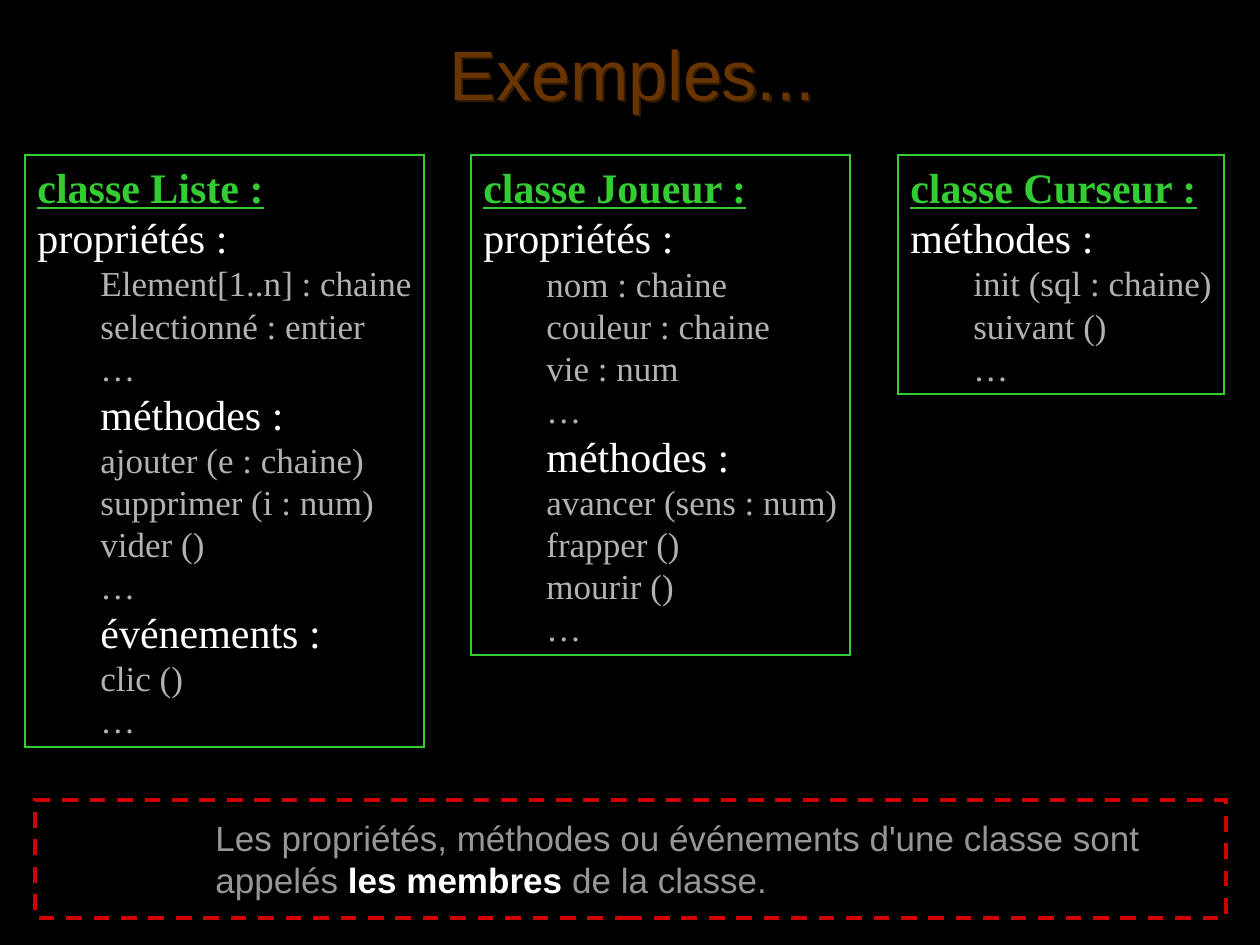
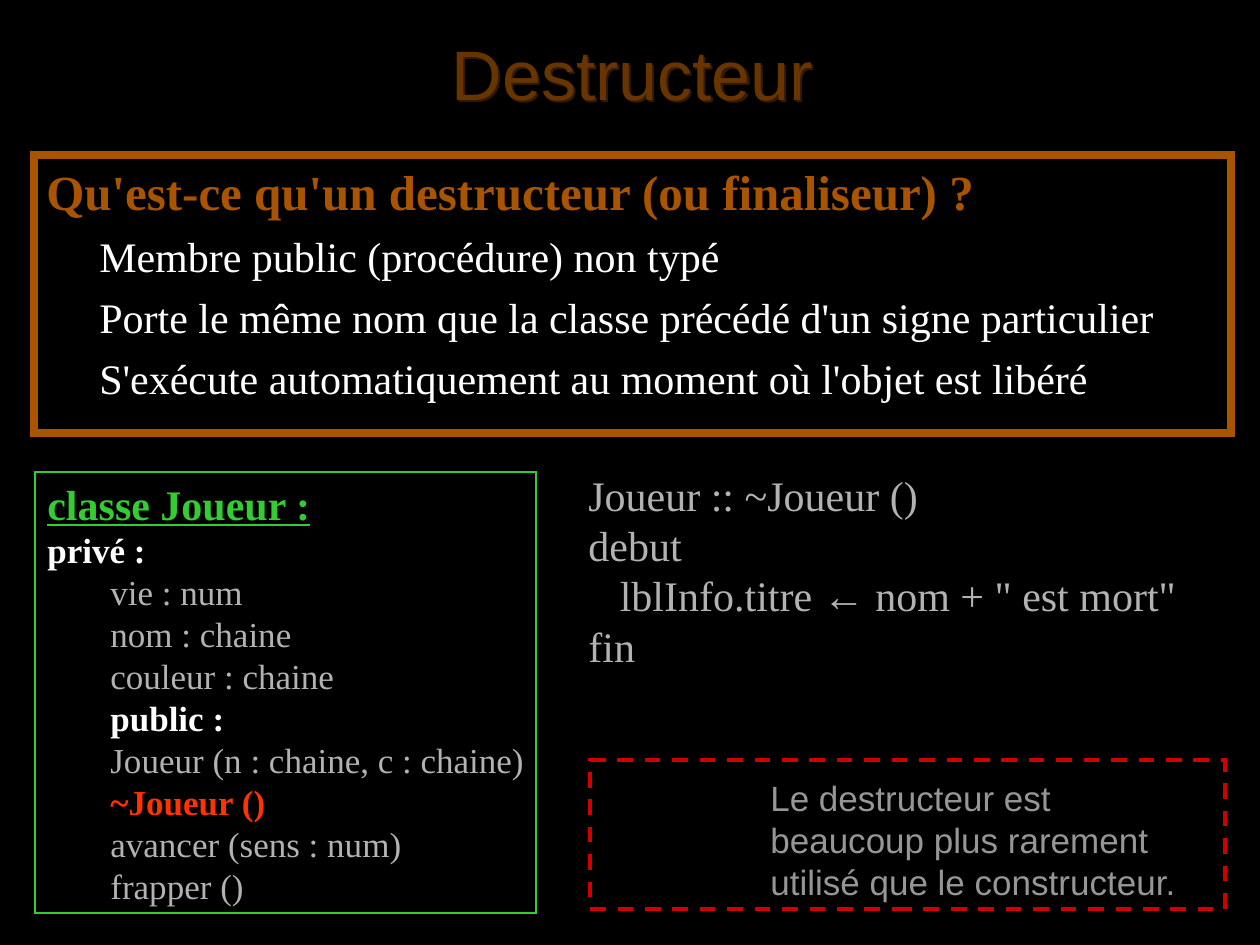
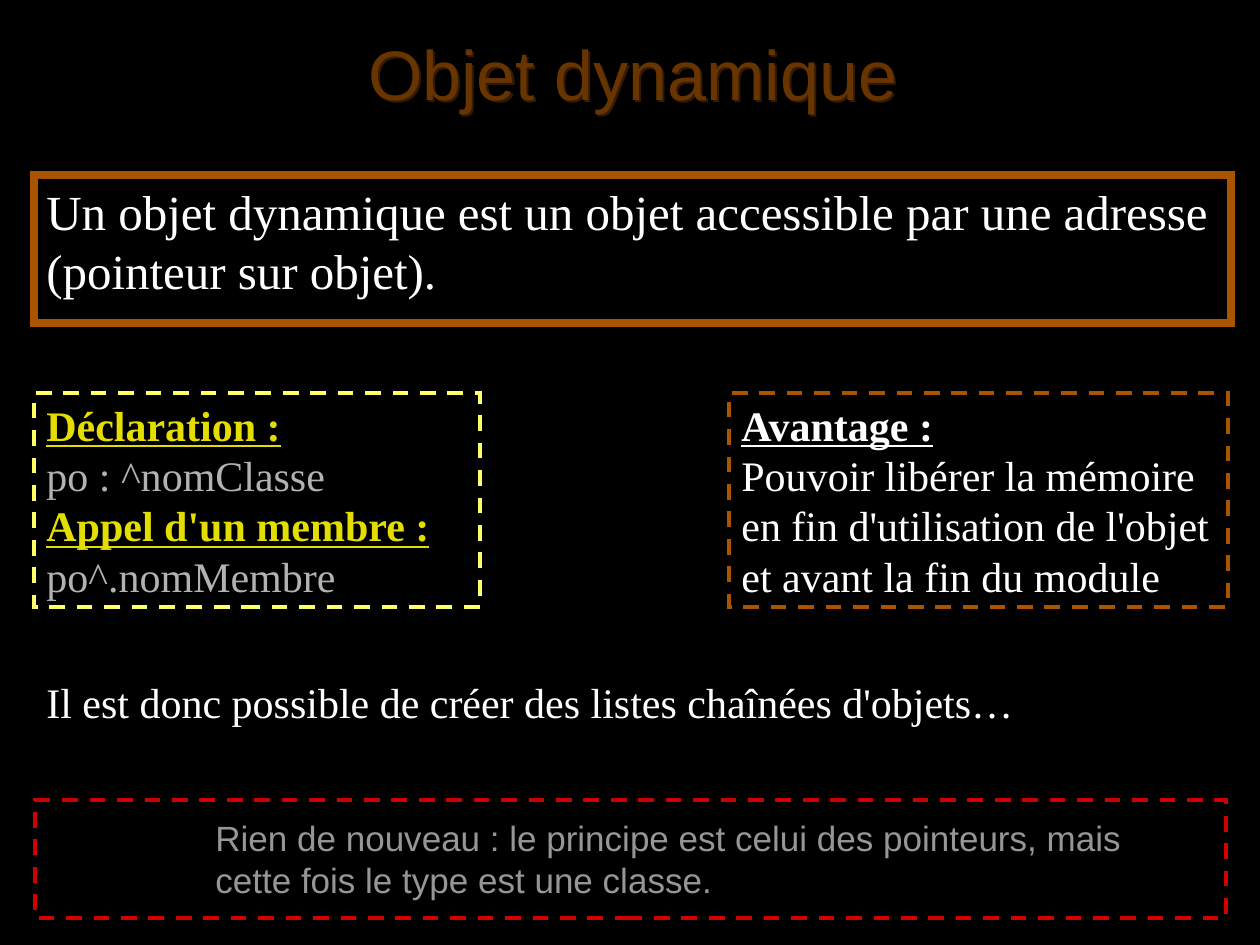
import pptx
import pptx.dml.color
import pptx.enum.dml
import pptx.enum.shapes
import pptx.enum.text
import pptx.oxml
import pptx.util
from collections import namedtuple

RGBColor = pptx.dml.color.RGBColor

# Shared look
BLACK = RGBColor(0x00, 0x00, 0x00)
WHITE = RGBColor(0xFF, 0xFF, 0xFF)
SILVER = RGBColor(0xB2, 0xB2, 0xB2)
GREY = RGBColor(0x96, 0x96, 0x96)
BROWN = RGBColor(0x68, 0x34, 0x00)
DARK_BROWN = RGBColor(0x34, 0x1A, 0x00)
ORANGE = RGBColor(0xA8, 0x54, 0x00)
GREEN = RGBColor(0x33, 0xCC, 0x33)
RED = RGBColor(0xD0, 0x00, 0x00)
SCARLET = RGBColor(0xFF, 0x33, 0x00)
YELLOW = RGBColor(0xE3, 0xDE, 0x00)
PALE_YELLOW = RGBColor(0xFF, 0xFF, 0x66)
SANS, SERIF = "Arial", "Times New Roman"
DRAWING = 'xmlns:a="http://schemas.openxmlformats.org/drawingml/2006/main"'

Style = namedtuple("Style", "size color bold underline face indent before",
                   defaults=(False, False, SERIF, 0, 0))
Border = namedtuple("Border", "color width dashed")

TITLE = Style(40, BROWN, face=SANS)
NOTICE = Style(20, GREY, face=SANS)
CLASS_NAME = Style(24, GREEN, True, True)
SECTION = Style(24, WHITE)
INNER_SECTION = SECTION._replace(indent=63)
MEMBER = Style(20, SILVER, indent=63)
ACCESS = Style(20, WHITE, True)
INNER_ACCESS = ACCESS._replace(indent=63)
DESTRUCTOR = MEMBER._replace(color=SCARLET, bold=True)
QUESTION = Style(28, ORANGE, True)
ANSWER = Style(24, WHITE, indent=53, before=6)
DEFINITION = Style(28, WHITE)
CODE = Style(24, SILVER)
SYNTAX = Style(24, YELLOW, True, True)
ADVANTAGE = Style(24, WHITE, True, True)

CLASS_BORDER = Border(GREEN, 0.75, False)
DEFINITION_BORDER = Border(ORANGE, 4.5, False)
NOTICE_BORDER = Border(RED, 2.25, True)
SYNTAX_BORDER = Border(PALE_YELLOW, 2.25, True)
ADVANTAGE_BORDER = Border(ORANGE, 2.25, True)

TITLE_AREA = (34, 16, 1197, 112)
BOTTOM_NOTICE = (35, 800, 1191, 118)
NOTICE_TEXT_INDENT = 168
NOTICE_TEXT_TOP = 10
BOTTOM_NOTICE_MARGIN = 21


def group(style, *texts):
    return [(text, style) for text in texts]


# Slide 1: the classes, as (left, width, height, lines)
CLASSES_TOP = 155
CLASSES = [
    (25, 399, 592,
     group(CLASS_NAME, "classe Liste :")
     + group(SECTION, "propriétés :")
     + group(MEMBER, "Element[1..n] : chaine", "selectionné : entier", "…")
     + group(INNER_SECTION, "méthodes :")
     + group(MEMBER, "ajouter (e : chaine)", "supprimer (i : num)", "vider ()", "…")
     + group(INNER_SECTION, "événements :")
     + group(MEMBER, "clic ()", "…")),
    (471, 379, 500,
     group(CLASS_NAME, "classe Joueur :")
     + group(SECTION, "propriétés :")
     + group(MEMBER, "nom : chaine", "couleur : chaine", "vie : num", "…")
     + group(INNER_SECTION, "méthodes :")
     + group(MEMBER, "avancer (sens : num)", "frapper ()", "mourir ()", "…")),
    (898, 326, 239,
     group(CLASS_NAME, "classe Curseur :")
     + group(SECTION, "méthodes :")
     + group(MEMBER, "init (sql : chaine)", "suivant ()", "…")),
]
MEMBERS_NOTICE = [([
    ("Les propriétés, méthodes ou événements d'une classe sont appelés ", {}),
    ("les membres", {"bold": True, "color": WHITE}),
    (" de la classe.", {}),
], NOTICE)]

# Slide 2: the destructor
DESTRUCTOR_FACTS = group(QUESTION, "Qu'est-ce qu'un destructeur (ou finaliseur) ?") + group(
    ANSWER,
    "Membre public (procédure) non typé",
    "Porte le même nom que la classe précédé d'un signe particulier",
    "S'exécute automatiquement au moment où l'objet est libéré")
PLAYER_CLASS = (
    group(CLASS_NAME, "classe Joueur :")
    + group(ACCESS, "privé :")
    + group(MEMBER, "vie : num", "nom : chaine", "couleur : chaine")
    + group(INNER_ACCESS, "public :")
    + group(MEMBER, "Joueur (n : chaine, c : chaine)")
    + group(DESTRUCTOR, "~Joueur ()")
    + group(MEMBER, "avancer (sens : num)", "frapper ()"))
DESTRUCTOR_CODE = group(
    CODE,
    "Joueur :: ~Joueur ()",
    "debut",
    [("   lblInfo.titre ", {}), ("←", {"face": SANS}), (' nom + " est mort"', {})],
    "fin")
RARITY_NOTICE = group(
    NOTICE, "Le destructeur est beaucoup plus rarement utilisé que le constructeur.")

# Slide 3: dynamic objects
DYNAMIC_DEFINITION = group(
    DEFINITION,
    "Un objet dynamique est un objet accessible par une adresse (pointeur sur objet).")
POINTER_SYNTAX = (
    group(SYNTAX, "Déclaration :") + group(CODE, "po : ^nomClasse")
    + group(SYNTAX, "Appel d'un membre :") + group(CODE, "po^.nomMembre"))
POINTER_ADVANTAGE = group(ADVANTAGE, "Avantage :") + group(
    SECTION, "Pouvoir libérer la mémoire en fin d'utilisation de l'objet et avant la fin du module")
LINKED_LISTS = group(SECTION, "Il est donc possible de créer des listes chaînées d'objets…")
POINTER_NOTICE = group(
    NOTICE,
    "Rien de nouveau : le principe est celui des pointeurs, mais cette fois le type est une classe.")


def px(length):
    return pptx.util.Emu(round(length * 914400 / 126))


def set_font(font, style):
    font.name = style.face
    font.size = pptx.util.Pt(style.size)
    font.bold = style.bold
    font.underline = style.underline
    font.color.rgb = style.color


def write_lines(frame, lines, wrap=True):
    """Fill a text frame with (text or runs, style) lines."""
    frame.word_wrap = wrap
    frame.vertical_anchor = pptx.enum.text.MSO_ANCHOR.TOP
    for index, (content, style) in enumerate(lines):
        paragraph = frame.add_paragraph() if index else frame.paragraphs[0]
        paragraph.alignment = pptx.enum.text.PP_ALIGN.LEFT
        if index and style.before:
            paragraph.space_before = pptx.util.Pt(style.before)
        if style.indent:
            properties = paragraph._p.get_or_add_pPr()
            properties.set("marL", str(px(style.indent)))
            properties.set("indent", "0")
        set_font(paragraph.font, style)
        pieces = [(content, {})] if isinstance(content, str) else content
        for text, changes in pieces:
            run = paragraph.add_run()
            run.text = text
            if len(pieces) > 1:
                set_font(run.font, style._replace(**changes))


def add_frame(slide, area, border, lines=(), wrap=True):
    """An outlined, unfilled rectangle, with or without text."""
    frame = slide.shapes.add_shape(
        pptx.enum.shapes.MSO_SHAPE.RECTANGLE, *map(px, area))
    frame.shadow.inherit = False
    frame.fill.background()
    frame.line.color.rgb = border.color
    frame.line.width = pptx.util.Pt(border.width)
    if border.dashed:
        frame.line.dash_style = pptx.enum.dml.MSO_LINE.DASH
    # Square corners
    frame.line._get_or_add_ln().append(
        pptx.oxml.parse_xml(f'<a:miter {DRAWING} lim="800000"/>'))
    if lines:
        write_lines(frame.text_frame, lines, wrap)


def add_text(slide, area, lines, wrap=True):
    write_lines(slide.shapes.add_textbox(*map(px, area)).text_frame, lines, wrap)


def add_notice(slide, area, lines, right_margin=0):
    """A red dashed frame whose text starts well inside its left edge."""
    left, top, width, height = area
    add_text(slide, (left + NOTICE_TEXT_INDENT, top + NOTICE_TEXT_TOP,
                     width - NOTICE_TEXT_INDENT - right_margin,
                     height - 2 * NOTICE_TEXT_TOP), lines)
    add_frame(slide, area, NOTICE_BORDER)


def add_slide(deck, heading):
    slide = deck.slides.add_slide(deck.slide_layouts[5])
    title = slide.shapes.title
    title.left, title.top, title.width, title.height = map(px, TITLE_AREA)
    title.text_frame.vertical_anchor = pptx.enum.text.MSO_ANCHOR.MIDDLE
    paragraph = title.text_frame.paragraphs[0]
    paragraph.alignment = pptx.enum.text.PP_ALIGN.CENTER
    set_font(paragraph.font, TITLE)
    paragraph.add_run().text = heading
    # The unfilled title casts its shadow from the letters
    title._element.spPr.append(pptx.oxml.parse_xml(
        f'<a:effectLst {DRAWING}><a:outerShdw dist="{px(3)}" dir="2700000">'
        f'<a:srgbClr val="{DARK_BROWN}"/></a:outerShdw></a:effectLst>'))
    return slide


def main():
    deck = pptx.Presentation()
    deck.slide_width, deck.slide_height = px(1260), px(945)
    background = deck.slide_master.background.fill
    background.solid()
    background.fore_color.rgb = BLACK

    examples = add_slide(deck, "Exemples...")
    add_notice(examples, BOTTOM_NOTICE, MEMBERS_NOTICE, BOTTOM_NOTICE_MARGIN)
    for left, width, height, lines in CLASSES:
        add_frame(examples, (left, CLASSES_TOP, width, height), CLASS_BORDER, lines, False)

    destructor = add_slide(deck, "Destructeur")
    add_frame(destructor, (34, 155, 1197, 278), DEFINITION_BORDER, DESTRUCTOR_FACTS)
    add_notice(destructor, (590, 760, 635, 149), RARITY_NOTICE)
    add_frame(destructor, (35, 472, 501, 441), CLASS_BORDER, PLAYER_CLASS, False)
    add_text(destructor, (576, 463, 684, 214), DESTRUCTOR_CODE)

    dynamic = add_slide(deck, "Objet dynamique")
    add_frame(dynamic, (34, 393, 446, 214), SYNTAX_BORDER, POINTER_SYNTAX)
    add_notice(dynamic, BOTTOM_NOTICE, POINTER_NOTICE, BOTTOM_NOTICE_MARGIN)
    add_frame(dynamic, (34, 175, 1197, 148), DEFINITION_BORDER, DYNAMIC_DEFINITION)
    add_text(dynamic, (34, 670, 993, 63), LINKED_LISTS, False)
    add_frame(dynamic, (729, 393, 499, 214), ADVANTAGE_BORDER, POINTER_ADVANTAGE)

    deck.save("out.pptx")


if __name__ == "__main__":
    main()
